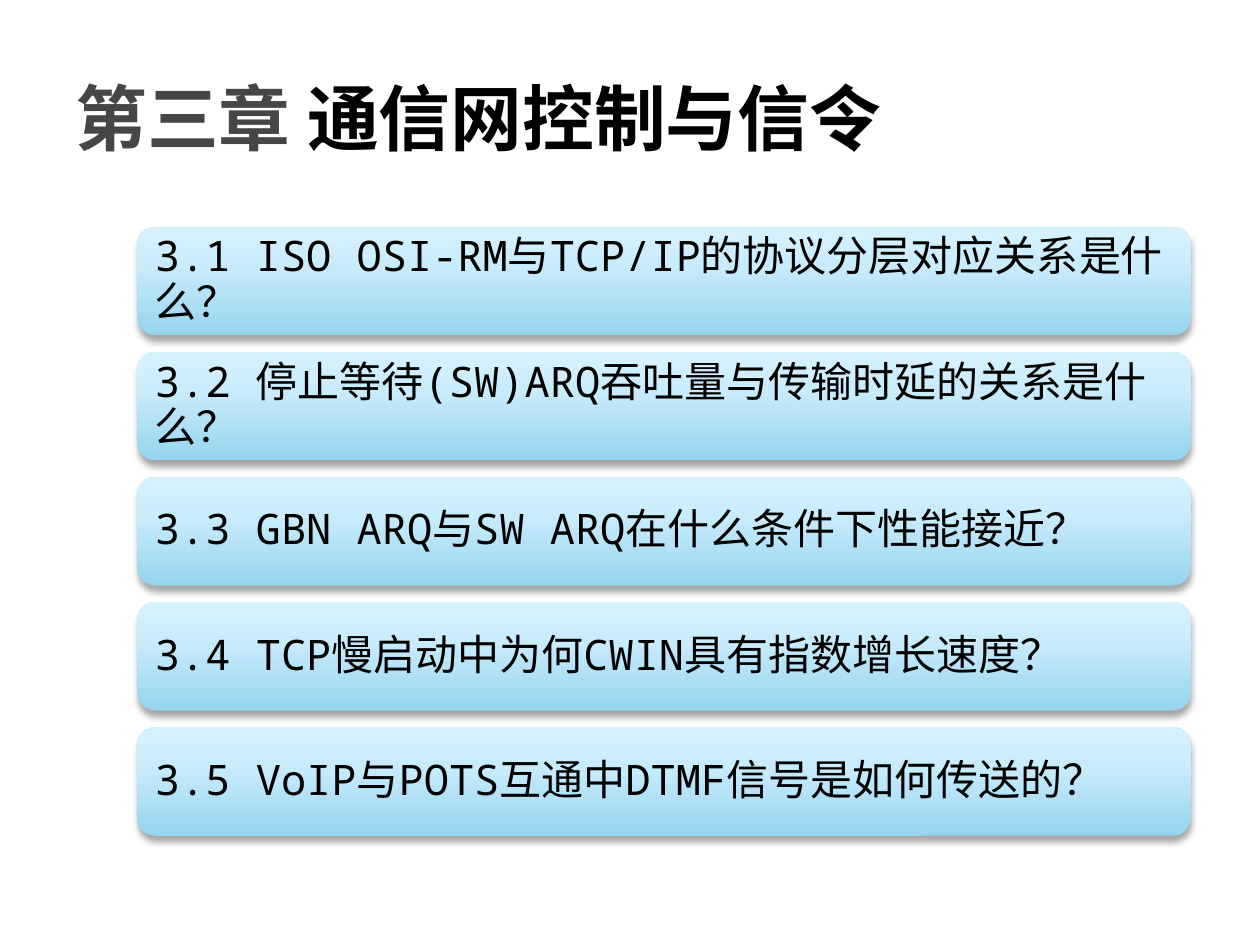
from dataclasses import dataclass

from lxml.etree import SubElement
from pptx import Presentation
from pptx.dml.color import RGBColor
from pptx.enum.shapes import MSO_SHAPE as Preset
from pptx.enum.text import MSO_ANCHOR as Anchor
from pptx.oxml.ns import qn
from pptx.shapes.autoshape import Shape
from pptx.slide import Slide
from pptx.util import Pt

FONT = "Noto Sans Mono"
BLACK = "000000"
GRADIENT = ((0, "96D4EE"), (65, "C9ECFC"), (100, "D7F2FF"))
FIRST_TOP, PITCH = 129.6, 71.5
BAR_LEFT, BAR_WIDTH, BAR_HEIGHT = 78.5, 602, 62
TEXT_MARGIN = 3


@dataclass(frozen=True)
class Question:
    number: str
    wording: str


QUESTIONS = (
    Question("3.1", "ISO OSI-RM与TCP/IP的协议分层对应关系是什么？"),
    Question("3.2", "停止等待(SW)ARQ吞吐量与传输时延的关系是什么？"),
    Question("3.3", "GBN ARQ与SW ARQ在什么条件下性能接近？"),
    Question("3.4", "TCP慢启动中为何CWIN具有指数增长速度？"),
    Question("3.5", "VoIP与POTS互通中DTMF信号是如何传送的？"),
)


def color(value: str) -> RGBColor:
    return RGBColor.from_string(value)


def add_text(slide: Slide, parts: tuple[tuple[str, str], ...], *,
             left: float, top: float, width: float, height: float,
             size: float, bold: bool = False, inset: float = 7.2,
             line_spacing: float = 1.0) -> None:
    box = slide.shapes.add_textbox(Pt(left), Pt(top), Pt(width), Pt(height))
    frame = box.text_frame
    frame.word_wrap = True
    frame.vertical_anchor = Anchor.MIDDLE
    frame.margin_left = frame.margin_right = Pt(7.2)
    frame.margin_top = frame.margin_bottom = Pt(inset)
    paragraph = frame.paragraphs[0]
    paragraph.line_spacing = line_spacing
    for wording, hue in parts:
        run = paragraph.add_run()
        run.text = wording
        run.font.name = FONT
        run.font.size = Pt(size)
        run.font.bold = bold
        run.font.color.rgb = color(hue)


def fill_upward(bar: Shape) -> None:
    bar.fill.gradient()
    bar.fill.gradient_angle = 90
    stops = bar._element.spPr.find(qn("a:gradFill")).find(qn("a:gsLst"))
    for stop in list(stops):
        stops.remove(stop)
    for percent, hue in GRADIENT:
        stop = SubElement(stops, qn("a:gs"), pos=str(percent * 1000))
        SubElement(stop, qn("a:srgbClr"), val=str(color(hue)))


def drop_shadow(bar: Shape) -> None:
    bar.shadow.inherit = False
    effects = bar._element.spPr.find(qn("a:effectLst"))
    shadow = SubElement(effects, qn("a:outerShdw"), blurRad=str(Pt(4)),
                        dist=str(Pt(3)), dir="5400000", rotWithShape="0")
    hue = SubElement(shadow, qn("a:srgbClr"), val=str(color(BLACK)))
    SubElement(hue, qn("a:alpha"), val="35000")


def add_question(slide: Slide, question: Question, top: float) -> None:
    bar = slide.shapes.add_shape(Preset.ROUNDED_RECTANGLE, Pt(BAR_LEFT), Pt(top),
                                 Pt(BAR_WIDTH), Pt(BAR_HEIGHT))
    bar.line.fill.background()
    fill_upward(bar)
    drop_shadow(bar)
    add_text(slide, ((f"{question.number} {question.wording}", BLACK),),
             left=BAR_LEFT + TEXT_MARGIN, top=top + TEXT_MARGIN,
             width=BAR_WIDTH - 2 * TEXT_MARGIN,
             height=BAR_HEIGHT - 2 * TEXT_MARGIN,
             size=24, line_spacing=0.9)


def main() -> None:
    deck = Presentation()
    deck.slide_width, deck.slide_height = Pt(720), Pt(540)
    slide = deck.slides.add_slide(deck.slide_layouts[6])
    for index, question in enumerate(QUESTIONS):
        add_question(slide, question, FIRST_TOP + index * PITCH)
    add_text(slide, (("第三章 ", "464646"), ("通信网控制与信令", BLACK)),
             left=36, top=21.6, width=648, height=90,
             size=41, bold=True, inset=3.6)
    deck.save("out.pptx")


if __name__ == "__main__":
    main()
